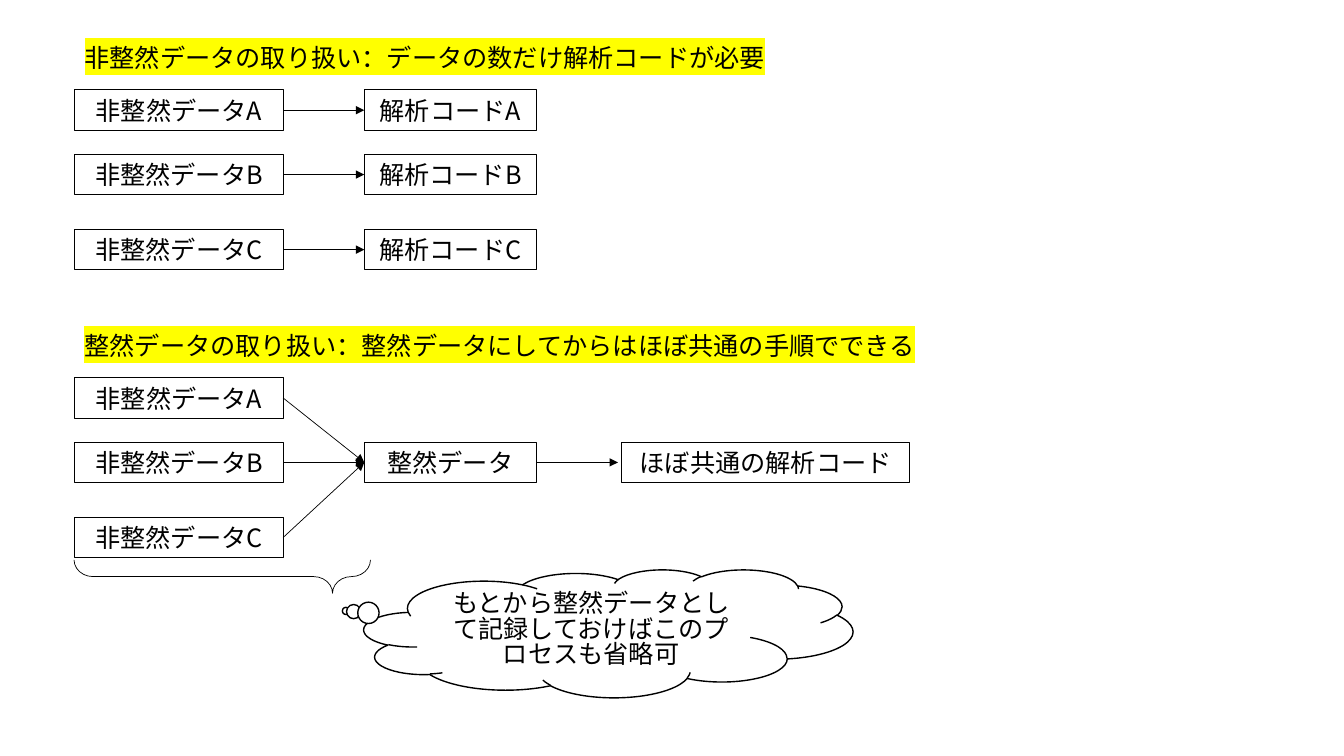
from lxml import etree
from pptx import Presentation
from pptx.dml.color import RGBColor
from pptx.enum.shapes import MSO_CONNECTOR, MSO_SHAPE
from pptx.enum.text import MSO_ANCHOR, MSO_AUTO_SIZE, PP_ALIGN
from pptx.oxml.ns import qn
from pptx.util import Pt

RECTANGLE, CLOUD, BRACE = MSO_SHAPE.RECTANGLE, MSO_SHAPE.CLOUD_CALLOUT, MSO_SHAPE.LEFT_BRACE
STRAIGHT = MSO_CONNECTOR.STRAIGHT
LEFT, CENTER = PP_ALIGN.LEFT, PP_ALIGN.CENTER
MIDDLE, NO_RESIZE = MSO_ANCHOR.MIDDLE, MSO_AUTO_SIZE.NONE

FONT = "Noto Sans CJK JP"
BLACK, WHITE, YELLOW = "000000", "FFFFFF", "FFFF00"
BOX_HEIGHT = 29
DATA_LEFT, DATA_WIDTH = 53.3, 149
CODE_LEFT, CODE_WIDTH = 260.2, 123
ROWS = {"A": 0, "B": 46, "C": 99.6}
HEADING_RISE = 37.8
UNTIDY_TOP, TIDY_TOP = 64.2, 269.8


def color(hex_string):
    """Turn a hex string into a colour."""
    return RGBColor.from_string(hex_string)


def write_text(shape, text, size=18, align=CENTER, wrap=True, highlight=None, spacing=None):
    """Write one formatted paragraph into a shape."""
    frame = shape.text_frame
    frame.word_wrap = wrap
    frame.auto_size = NO_RESIZE
    frame.vertical_anchor = MIDDLE
    paragraph = frame.paragraphs[0]
    paragraph.alignment = align
    paragraph.line_spacing = spacing
    run = paragraph.add_run()
    run.text = text
    run.font.size = Pt(size)
    run.font.color.rgb = color(BLACK)
    properties = run.font._element
    if highlight:
        marker = etree.SubElement(properties, qn("a:highlight"))
        etree.SubElement(marker, qn("a:srgbClr"), val=highlight)
    for script in ("a:latin", "a:ea"):
        etree.SubElement(properties, qn(script), typeface=FONT)


def add_outline(slide, kind, left, top, width, height, line_width=0.75, fill=None, adjustments=()):
    """Add a black-outlined preset shape."""
    shape = slide.shapes.add_shape(kind, Pt(left), Pt(top), Pt(width), Pt(height))
    shape.shadow.inherit = False
    if fill:
        shape.fill.solid()
        shape.fill.fore_color.rgb = color(fill)
    else:
        shape.fill.background()
    shape.line.color.rgb = color(BLACK)
    shape.line.width = Pt(line_width)
    for index, value in enumerate(adjustments):
        shape.adjustments[index] = value
    return shape


def add_box(slide, text, left, top, width):
    """Add a labelled box."""
    write_text(add_outline(slide, RECTANGLE, left, top, width, BOX_HEIGHT), text)


def add_heading(slide, text, group_top, width):
    """Add a highlighted heading above a group of boxes."""
    box = slide.shapes.add_textbox(
        Pt(DATA_LEFT), Pt(group_top - HEADING_RISE), Pt(width), Pt(BOX_HEIGHT))
    write_text(box, text, align=LEFT, wrap=False, highlight=YELLOW)


def add_arrow(slide, start_x, start_top, end_x, end_top):
    """Add an arrow between the middles of two boxes, given their tops."""
    middle = BOX_HEIGHT / 2
    arrow = slide.shapes.add_connector(
        STRAIGHT, Pt(start_x), Pt(start_top + middle), Pt(end_x), Pt(end_top + middle))
    arrow.line.color.rgb = color(BLACK)
    arrow.line.width = Pt(0.5)
    etree.SubElement(arrow.line._get_or_add_ln(), qn("a:tailEnd"), type="triangle")
    etree.SubElement(arrow._element.spPr, qn("a:effectLst"))


def add_untidy_group(slide):
    """Show each untidy data set with its own analysis code."""
    add_heading(slide, "非整然データの取り扱い：データの数だけ解析コードが必要", UNTIDY_TOP, 505.4)
    for letter, offset in ROWS.items():
        top = UNTIDY_TOP + offset
        add_box(slide, f"非整然データ{letter}", DATA_LEFT, top, DATA_WIDTH)
        add_arrow(slide, DATA_LEFT + DATA_WIDTH, top, CODE_LEFT, top)
        add_box(slide, f"解析コード{letter}", CODE_LEFT, top, CODE_WIDTH)


def add_tidy_group(slide):
    """Show the untidy data sets joining into tidy data and shared code."""
    add_heading(slide, "整然データの取り扱い：整然データにしてからはほぼ共通の手順でできる", TIDY_TOP, 614.2)
    tidy_top = TIDY_TOP + ROWS["B"]
    for letter, offset in ROWS.items():
        top = TIDY_TOP + offset
        add_box(slide, f"非整然データ{letter}", DATA_LEFT, top, DATA_WIDTH)
        add_arrow(slide, DATA_LEFT + DATA_WIDTH, top, CODE_LEFT, tidy_top)
    add_box(slide, "整然データ", CODE_LEFT, tidy_top, CODE_WIDTH)
    add_arrow(slide, CODE_LEFT + CODE_WIDTH, tidy_top, 441.4, tidy_top)
    add_box(slide, "ほぼ共通の解析コード", 444, tidy_top, 206)


def add_remark(slide):
    """Add the brace and the thought cloud about the step that can be skipped."""
    brace = add_outline(slide, BRACE, 146.9, 306, 23.8, 211.7, 0.5, adjustments=(0.877, 0.872))
    brace.rotation = 270
    cloud = add_outline(slide, CLOUD, 260, 406.8, 349.2, 91.4, 1, WHITE, (-0.537, -0.176))
    write_text(cloud, "もとから整然データとして記録しておけばこのプロセスも省略可", spacing=0.83)


def main():
    """Build and save the slide."""
    presentation = Presentation()
    presentation.slide_width, presentation.slide_height = Pt(960), Pt(540)
    slide = presentation.slides.add_slide(presentation.slide_layouts[6])
    add_untidy_group(slide)
    add_tidy_group(slide)
    add_remark(slide)
    presentation.save("out.pptx")


main()
